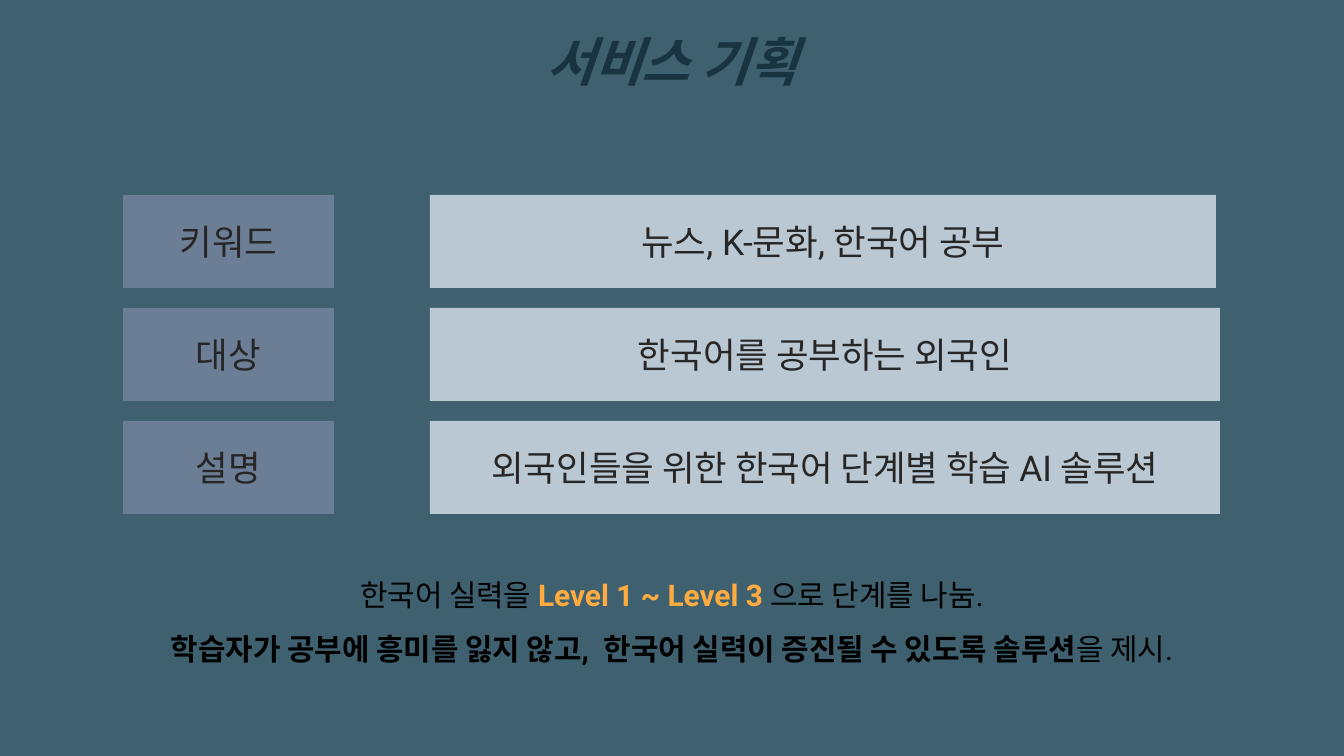
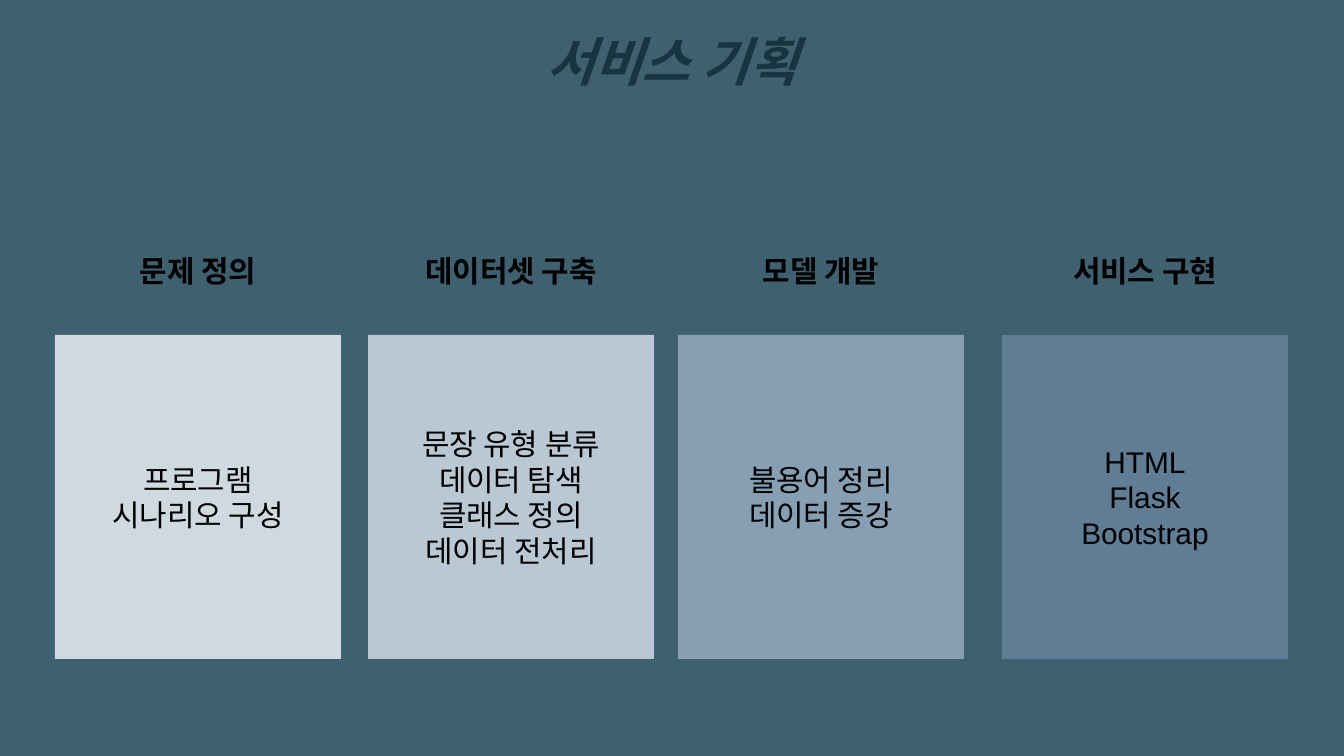
"""Build two service-planning slides: the outline and the four development steps."""
from pptx import Presentation
from pptx.dml.color import RGBColor
from pptx.enum.shapes import MSO_SHAPE as Shape
from pptx.enum.text import MSO_ANCHOR as Anchor, MSO_AUTO_SIZE as AutoSize, PP_ALIGN as Align
from pptx.util import Pt

PX = 9144000 / 1344
COLORS = {
    "background": "3E606F", "title": "193441", "label": "6C7E95", "value": "BAC8D3",
    "row_text": "262626", "text": "000000", "level": "FFAB40",
    "problem": "CFD9E0", "dataset": "BAC8D3", "model": "869FB2", "service": "5F7D95",
}


def place(shape, left, top, width, height, inset=13):
    """Set the position and text frame of a shape and return the frame."""
    shape.left, shape.top, shape.width, shape.height = (
        round(length * PX) for length in (left, top, width, height))
    frame = shape.text_frame
    frame.word_wrap = True
    frame.auto_size = AutoSize.NONE
    frame.vertical_anchor = Anchor.MIDDLE
    frame.margin_left = frame.margin_right = frame.margin_top = frame.margin_bottom = round(inset * PX)
    return frame


def style(frame, size, color, font="Roboto", bold=None, italic=None):
    """Centre every paragraph and give it one font."""
    for paragraph in frame.paragraphs:
        paragraph.alignment = Align.CENTER
        paragraph.font.name = font
        paragraph.font.size = Pt(size)
        paragraph.font.bold = bold
        paragraph.font.italic = italic
        paragraph.font.color.rgb = RGBColor.from_string(COLORS[color])


prs = Presentation()
prs.slide_width, prs.slide_height = round(1344 * PX), round(756 * PX)
backdrop = prs.slide_master.background.fill
backdrop.solid()
backdrop.fore_color.rgb = RGBColor.from_string(COLORS["background"])

outline, steps = (prs.slides.add_slide(prs.slide_layouts[5]) for _ in range(2))
for slide in (outline, steps):
    heading = place(slide.shapes.title, 0, 31, 1344, 59)
    heading.text = "서비스 기획"
    style(heading, 28, "title", bold=True, italic=True)

rows = [
    ("키워드", "뉴스, K-문화, 한국어 공부", 786),
    ("대상", "한국어를 공부하는 외국인", 790),
    ("설명", "외국인들을 위한 한국어 단계별 학습 AI 솔루션", 790),
]
panels = []
for index, (label, value, value_width) in enumerate(rows):
    top = 195 + 113 * index
    panels.append((outline, label, "label", (123, top, 211, 93, 17), (19, "row_text")))
    panels.append((outline, value, "value", (430, top, value_width, 93, 17), (19, "row_text")))

stages = [
    (55, "문제 정의", "problem", "프로그램\n시나리오 구성"),
    (368, "데이터셋 구축", "dataset", "문장 유형 분류\v데이터 탐색\n클래스 정의\n데이터 전처리"),
    (678, "모델 개발", "model", "불용어 정리\n데이터 증강"),
    (1002, "서비스 구현", "service", "HTML\nFlask\nBootstrap"),
]
for left, stage, color, tasks in stages:
    stage_name = place(steps.shapes.add_textbox(0, 0, 0, 0), left + 28, 241, 230, 59)
    stage_name.text = stage
    style(stage_name, 16, "text", bold=True)
    panels.append((steps, tasks, color, (left, 335, 286, 324), (16, "text", "Arial")))

for slide, text, color, area, font in panels:
    panel = slide.shapes.add_shape(Shape.RECTANGLE, 0, 0, 0, 0)
    panel.shadow.inherit = False
    panel.fill.solid()
    panel.fill.fore_color.rgb = RGBColor.from_string(COLORS[color])
    panel.line.fill.background()
    content = place(panel, *area)
    content.text = text
    style(content, *font)

summary = place(outline.shapes.add_textbox(0, 0, 0, 0), 60, 524, 1224, 177)
sentences = [
    [("한국어 실력을 ", "text", False), ("Level 1 ~ Level 3 ", "level", True),
     ("으로 단계를 나눔.", "text", False)],
    [("학습자가 공부에 흥미를 잃지 않고,  한국어 실력이 증진될 수 있도록 솔루션", "text", True),
     ("을 제시.", "text", False)],
]
summary.add_paragraph()
style(summary, 16, "text")
for paragraph, sentence in zip(summary.paragraphs, sentences):
    paragraph.line_spacing = 1.5
    for text, color, bold in sentence:
        run = paragraph.add_run()
        run.text = text
        run.font.bold = bold
        run.font.color.rgb = RGBColor.from_string(COLORS[color])

prs.save("out.pptx")
